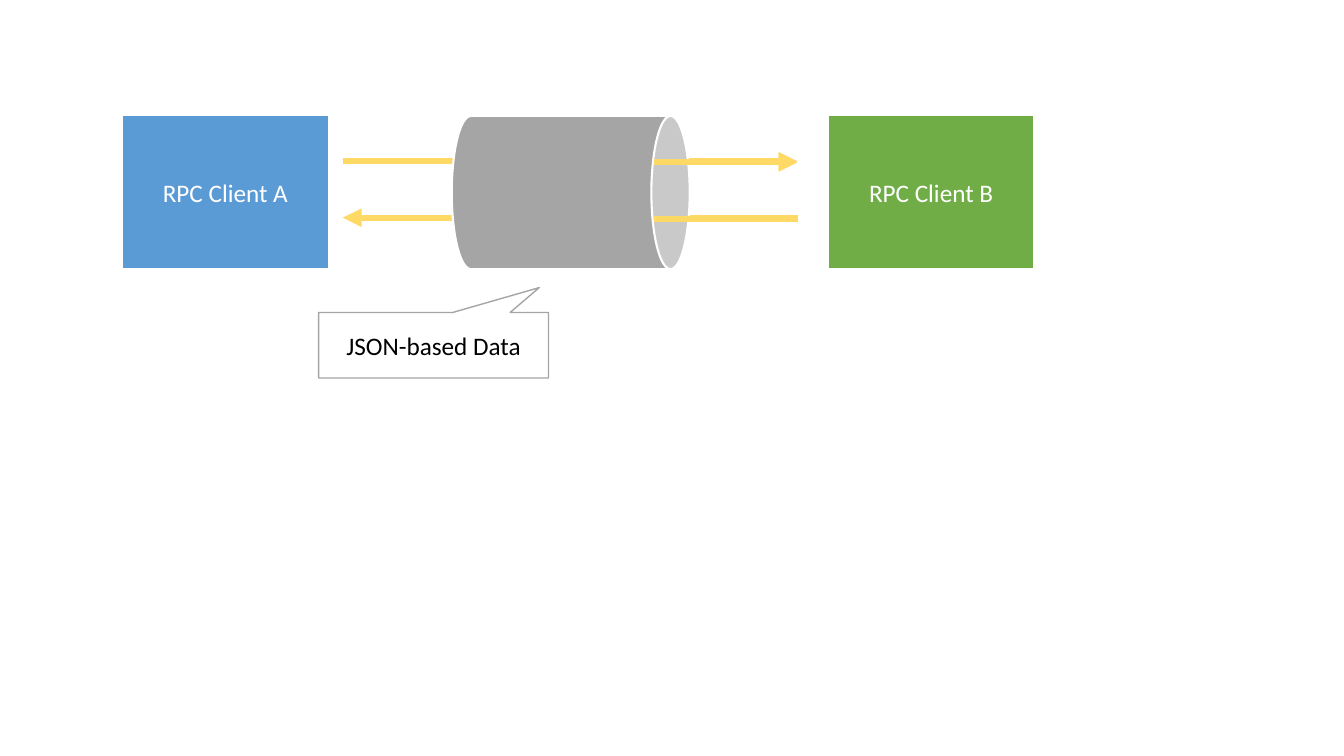
from lxml import etree
from pptx import Presentation
from pptx.dml.color import RGBColor
from pptx.enum.shapes import MSO_CONNECTOR, MSO_SHAPE
from pptx.enum.text import MSO_ANCHOR, PP_ALIGN
from pptx.oxml.ns import qn
from pptx.util import Inches, Pt

RECTANGLE = MSO_SHAPE.RECTANGLE
CAN = MSO_SHAPE.CAN
CALLOUT = MSO_SHAPE.RECTANGULAR_CALLOUT
STRAIGHT = MSO_CONNECTOR.STRAIGHT
MIDDLE = MSO_ANCHOR.MIDDLE
CENTER = PP_ALIGN.CENTER

WHITE, BLACK, GRAY = "FFFFFF", "000000", "A5A5A5"
BLUE, GREEN, YELLOW = "5B9BD5", "70AD47", "FFD966"


def color(hex_code):
    """Turn a hex string into a colour."""
    return RGBColor.from_string(hex_code)


class Diagram:
    """Holds the style and the current slide."""

    font = "Calibri"
    text_size = 18
    flow_width = 4.5

    def __init__(self, slide):
        """Draw on the given slide."""
        self.slide = slide

    def block(self, kind, box, fill, outline=WHITE, outline_width=1.5):
        """Add a filled, outlined preset shape at box (inches)."""
        block = self.slide.shapes.add_shape(kind, *map(Inches, box))
        block.shadow.inherit = False
        block.fill.solid()
        block.fill.fore_color.rgb = color(fill)
        block.line.color.rgb = color(outline)
        block.line.width = Pt(outline_width)
        return block

    def label(self, block, text, text_color):
        """Write centred text in a block."""
        frame = block.text_frame
        frame.text = text
        frame.word_wrap = True
        frame.vertical_anchor = MIDDLE
        paragraph = frame.paragraphs[0]
        paragraph.alignment = CENTER
        font = paragraph.runs[0].font
        font.name = self.font
        font.size = Pt(self.text_size)
        font.color.rgb = color(text_color)

    def client(self, left, name, fill):
        """Add one RPC client box."""
        self.label(self.block(RECTANGLE, (left, 1.14, 2.05, 1.53), fill), name, WHITE)

    def pipe(self, box):
        """Add the can lying on its side."""
        self.block(CAN, box, GRAY).rotation = 90

    def callout(self, box, text, pointer):
        """Add a speech callout whose tip is at pointer."""
        callout = self.block(CALLOUT, box, WHITE, GRAY, 1)
        for index, offset in enumerate(pointer):
            callout.adjustments[index] = offset
        self.label(callout, text, BLACK)

    def flow(self, start, end, y, arrow=True):
        """Add a horizontal data flow line, with an arrowhead at its end."""
        flow = self.slide.shapes.add_connector(
            STRAIGHT, Inches(start), Inches(y), Inches(end), Inches(y))
        flow.line.color.rgb = color(YELLOW)
        flow.line.width = Pt(self.flow_width)
        if arrow:
            etree.SubElement(flow.line._get_or_add_ln(), qn("a:tailEnd"), type="triangle")
        etree.SubElement(flow._element.spPr, qn("a:effectLst"))


presentation = Presentation()
presentation.slide_width = Inches(13.33)
presentation.slide_height = Inches(7.5)
diagram = Diagram(presentation.slides.add_slide(presentation.slide_layouts[6]))

diagram.client(1.21, "RPC Client A", BLUE)
diagram.client(8.21, "RPC Client B", GREEN)

# Flows run behind the pipe, then reappear over its open end.
near_a, near_b, pipe_mouth = 3.4, 7.91, 6.49
diagram.flow(near_a, near_b, 1.6)
diagram.flow(near_b, near_a, 2.16)
diagram.pipe((4.9, 0.73, 1.52, 2.36))
diagram.flow(pipe_mouth, near_b, 1.61)
diagram.flow(near_b, pipe_mouth, 2.17, arrow=False)

diagram.callout((3.16, 3.1, 2.28, 0.65), "JSON-based Data", (0.46, -0.88))

presentation.save("out.pptx")
